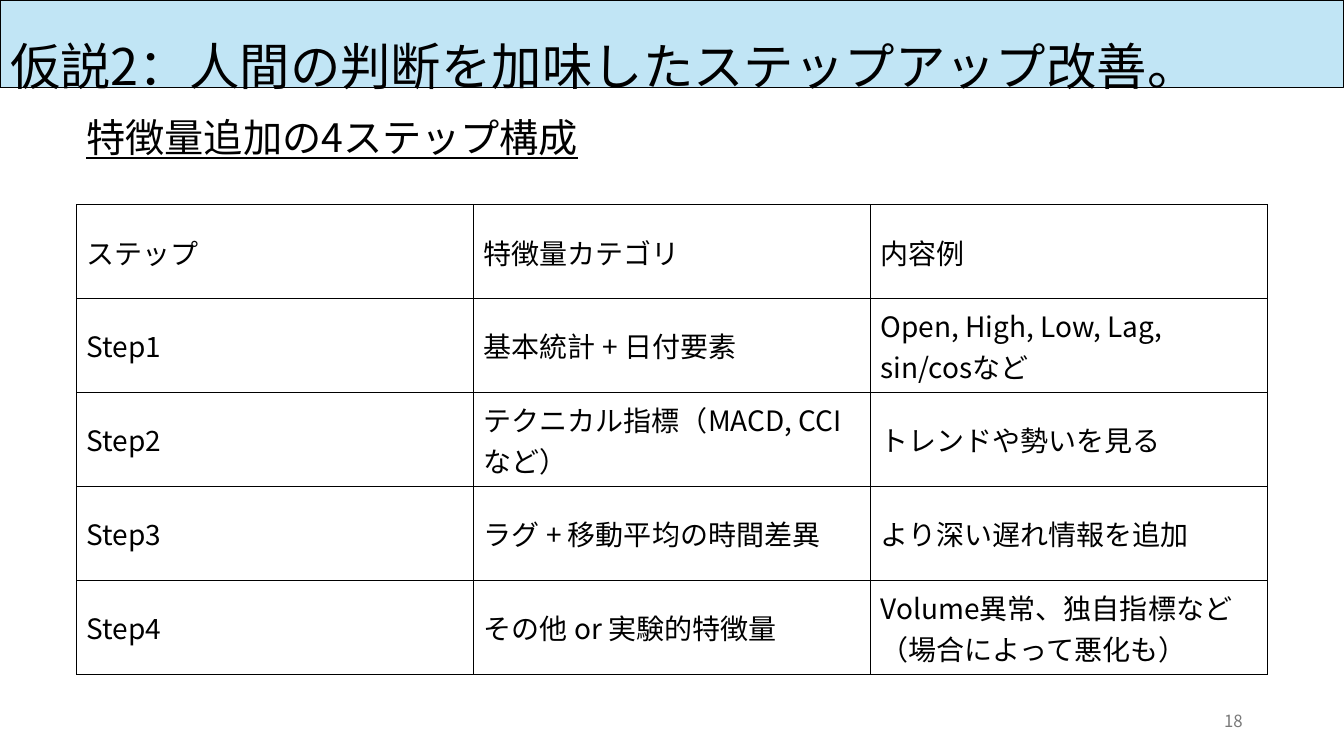
import pptx
import pptx.util
import pptx.dml.color
import pptx.enum.text
import pptx.oxml
import pptx.oxml.ns

WIDTH, HEIGHT = 13.33, 7.5
FONT = "Noto Sans CJK JP"
COLOURS = {"text": "000000", "banner": "C1E5F5", "muted": "797979", "line": "000000"}
MARGIN = 0.057 * WIDTH
ANCHOR = pptx.enum.text.MSO_ANCHOR
ALIGN = pptx.enum.text.PP_ALIGN
STEPS = [
    ("ステップ", "特徴量カテゴリ", "内容例"),
    ("Step1", "基本統計 + 日付要素", "Open, High, Low, Lag, sin/cosなど"),
    ("Step2", "テクニカル指標（MACD, CCIなど）", "トレンドや勢いを見る"),
    ("Step3", "ラグ + 移動平均の時間差異", "より深い遅れ情報を追加"),
    ("Step4", "その他 or 実験的特徴量", "Volume異常、独自指標など（場合によって悪化も）"),
]


def inches(*lengths):
    return [pptx.util.Inches(length) for length in lengths]


def colour(name):
    return pptx.dml.color.RGBColor.from_string(COLOURS[name])


def write(frame, text, size, shade="text", align=ALIGN.LEFT, anchor=ANCHOR.TOP, underline=None):
    frame.word_wrap = True
    frame.vertical_anchor = anchor
    para = frame.paragraphs[0]
    para.alignment = align
    span = para.add_run()
    span.text = text
    span.font.size = pptx.util.Pt(size)
    span.font.name = FONT
    span.font.underline = underline
    span.font.color.rgb = colour(shade)
    east_asian = pptx.oxml.parse_xml(
        f'<a:ea {pptx.oxml.ns.nsdecls("a")} typeface="{FONT}"/>')
    span.font._element.find(pptx.oxml.ns.qn("a:latin")).addnext(east_asian)
    return para


def add_banner(page, text):
    title = page.shapes.title
    title.left, title.top, title.width, title.height = inches(0, 0, WIDTH, 0.116 * HEIGHT)
    title.fill.solid()
    title.fill.fore_color.rgb = colour("banner")
    title.line.color.rgb = colour("line")
    title.line.width = pptx.util.Pt(0.75)
    para = write(title.text_frame, text, 36)
    para.line_spacing = 1.5
    para.space_before = pptx.util.Pt(0)
    title.text_frame.auto_size = pptx.enum.text.MSO_AUTO_SIZE.NONE


def add_label(page, place, text, size, **style):
    box = page.shapes.add_textbox(*inches(*place))
    write(box.text_frame, text, size, **style)


def add_borders(cell):
    properties = cell._tc.get_or_add_tcPr()
    for index, side in enumerate(("lnL", "lnR", "lnT", "lnB")):
        properties.insert(index, pptx.oxml.parse_xml(
            f'<a:{side} {pptx.oxml.ns.nsdecls("a")} w="12700"><a:solidFill>'
            f'<a:srgbClr val="{COLOURS["line"]}"/></a:solidFill></a:{side}>'))


def add_grid(page, place, rows):
    frame = page.shapes.add_table(len(rows), len(rows[0]), *inches(*place))
    table = frame.table
    table.first_row = False
    table.horz_banding = False
    for row_index, row in enumerate(rows):
        for column_index, text in enumerate(row):
            cell = table.cell(row_index, column_index)
            cell.fill.background()
            cell.vertical_anchor = ANCHOR.MIDDLE
            write(cell.text_frame, text, 20, anchor=None)
            add_borders(cell)


def main():
    deck = pptx.Presentation()
    deck.slide_width, deck.slide_height = inches(WIDTH, HEIGHT)
    page = deck.slides.add_slide(deck.slide_layouts[5])
    content = WIDTH - 2 * MARGIN
    add_banner(page, "仮説2：人間の判断を加味したステップアップ改善。")
    add_label(page, (MARGIN, 0.143 * HEIGHT, 0.48 * WIDTH, 0.076 * HEIGHT),
              "特徴量追加の4ステップ構成", 28, underline=True)
    add_grid(page, (MARGIN, 0.271 * HEIGHT, content, 0.621 * HEIGHT), STEPS)
    add_label(page, (0.707 * WIDTH, 0.927 * HEIGHT, 0.225 * WIDTH, 0.053 * HEIGHT),
              "18", 12, shade="muted", align=ALIGN.RIGHT, anchor=ANCHOR.MIDDLE)
    deck.save("out.pptx")


if __name__ == "__main__":
    main()
